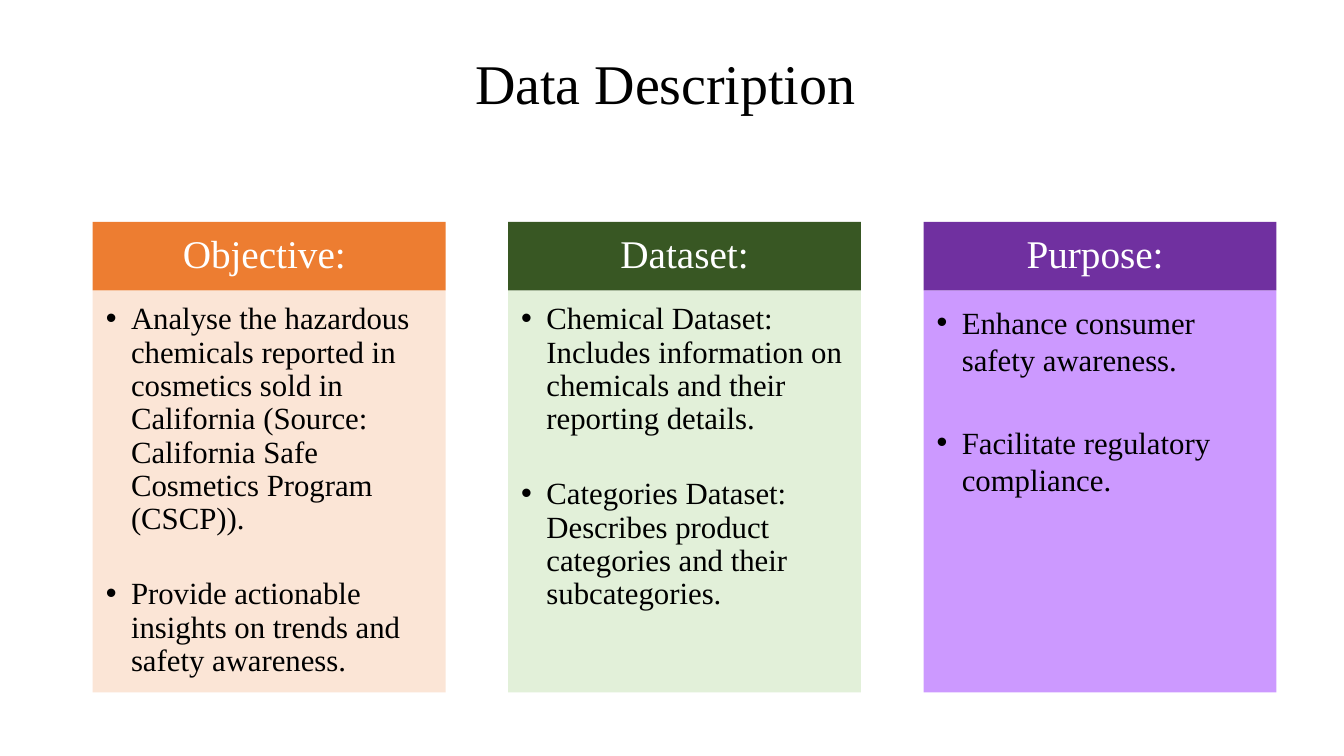
from lxml import etree
from pptx import Presentation
from pptx.dml.color import RGBColor
from pptx.enum.shapes import MSO_SHAPE
from pptx.enum.text import MSO_ANCHOR, PP_ALIGN
from pptx.oxml.ns import qn
from pptx.util import Inches, Pt

RECT = MSO_SHAPE.RECTANGLE
TOP, MIDDLE = MSO_ANCHOR.TOP, MSO_ANCHOR.MIDDLE
LEFT, CENTER = PP_ALIGN.LEFT, PP_ALIGN.CENTER

# Content: heading, head colour, body colour, line spacing, gap in points, bullets
TITLE = "Data Description "
CARDS = [
    ("Objective: ", "orange", "peach", 0.9, 30, [
        "Analyse the hazardous chemicals reported in cosmetics sold in "
        "California (Source: California Safe Cosmetics Program (CSCP)).",
        "Provide actionable insights on trends and safety awareness."]),
    ("Dataset:", "green", "mint", 0.9, 30, [
        "Chemical Dataset: Includes information on chemicals and their "
        "reporting details.",
        "Categories Dataset: Describes product categories and their "
        "subcategories."]),
    ("Purpose: ", "purple", "lilac", 1.0, 33, [
        "Enhance consumer safety awareness.",
        "Facilitate regulatory compliance."]),
]
COLORS = {
    "black": "000000", "white": "FFFFFF",
    "orange": "ED7D31", "peach": "FBE5D6",
    "green": "385723", "mint": "E2F0D9",
    "purple": "7030A0", "lilac": "CC99FF",
}
FONT = "Times New Roman"

# Layout in inches
LEFT_X, STEP, WIDTH = 0.92, 4.12, 3.5
HEAD_Y, HEAD_H = 2.2, 0.68
BODY_Y, BODY_H = HEAD_Y + HEAD_H, 3.99
HEAD_PAD = (0.22, 0.12, 0.22, 0.12)
BODY_PAD = (0.13, 0.13, 0.17, 0.19)
TITLE_PAD = (0.1, 0.05, 0.1, 0.05)
INDENT = Inches(0.25)


def color(name):
    return RGBColor.from_string(COLORS[name])


def write(shape, lines, size, ink, pad, anchor, align, spacing=0.9):
    frame = shape.text_frame
    frame.word_wrap = True
    frame.vertical_anchor = anchor
    (frame.margin_left, frame.margin_top,
     frame.margin_right, frame.margin_bottom) = map(Inches, pad)
    frame.text = "\n".join(lines)
    for para in frame.paragraphs:
        para.alignment = align
        para.line_spacing = spacing
        for run in para.runs:
            run.font.name = FONT
            run.font.size = Pt(size)
            run.font.color.rgb = color(ink)
    return frame.paragraphs


def block(x, y, height, fill):
    shape = slide.shapes.add_shape(
        RECT, Inches(x), Inches(y), Inches(WIDTH), Inches(height))
    shape.shadow.inherit = False
    shape.fill.solid()
    shape.fill.fore_color.rgb = color(fill)
    shape.line.fill.background()
    return shape


def bullet(para):
    props = para._p.get_or_add_pPr()
    props.set("marL", str(INDENT))
    props.set("indent", str(-INDENT))
    etree.SubElement(props, qn("a:buFont")).set("typeface", "Arial")
    etree.SubElement(props, qn("a:buChar")).set("char", "•")


deck = Presentation()
deck.slide_width, deck.slide_height = Inches(13.33), Inches(7.5)
slide = deck.slides.add_slide(deck.slide_layouts[6])

# Title
title = slide.shapes.add_textbox(
    Inches(LEFT_X), Inches(0.4), Inches(11.5), Inches(0.92))
write(title, [TITLE], 40, "black", TITLE_PAD, MIDDLE, CENTER)

# Cards: body below, heading above
for i, (name, dark, pale, spacing, gap, points) in enumerate(CARDS):
    x = LEFT_X + i * STEP
    body = block(x, BODY_Y, BODY_H, pale)
    paras = write(body, points, 22, "black", BODY_PAD, TOP, LEFT, spacing)
    for para in paras:
        bullet(para)
    for para in paras[:-1]:
        para.space_after = Pt(gap)
    head = block(x, HEAD_Y, HEAD_H, dark)
    write(head, [name], 28, "white", HEAD_PAD, MIDDLE, CENTER)

deck.save("out.pptx")
